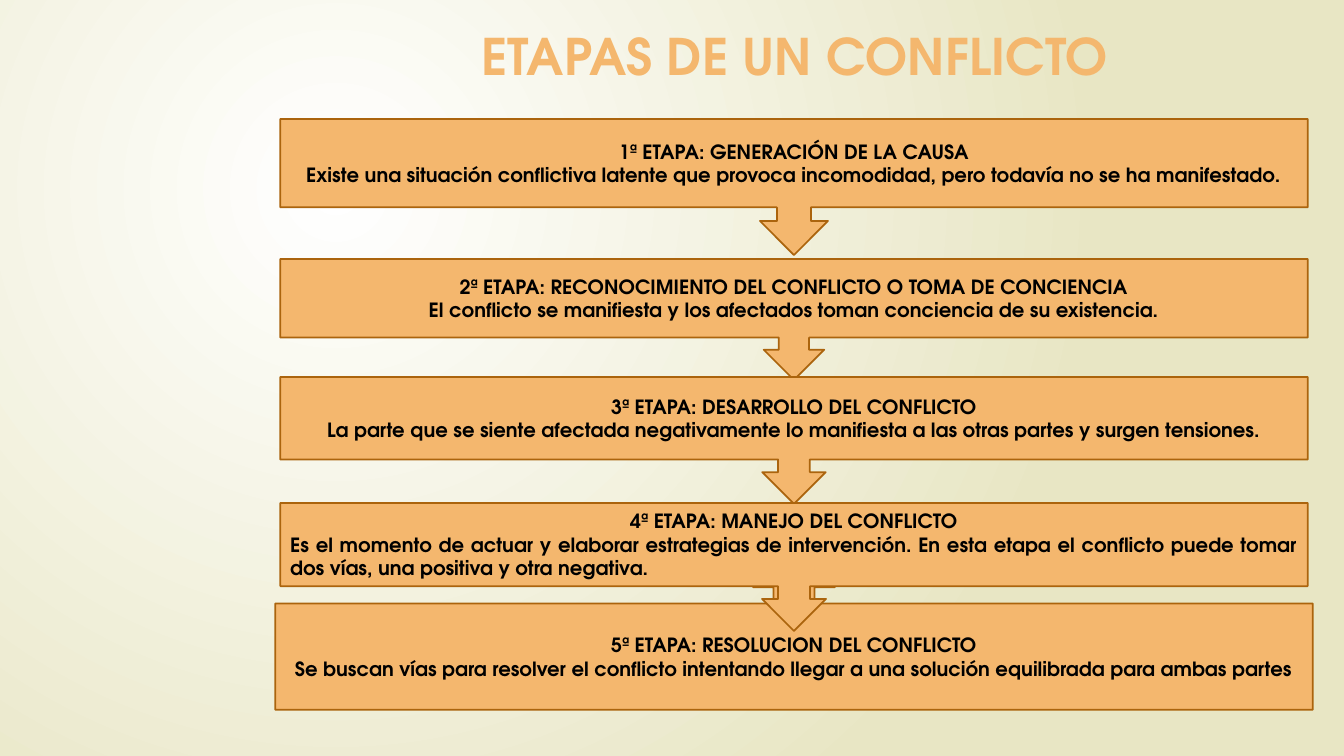
from lxml import etree
from pptx import Presentation
from pptx.dml.color import RGBColor
from pptx.enum.shapes import MSO_SHAPE
from pptx.enum.text import MSO_ANCHOR, MSO_AUTO_SIZE, PP_ALIGN
from pptx.oxml.ns import qn
from pptx.util import Inches, Pt

DOWN = MSO_SHAPE.DOWN_ARROW_CALLOUT
UP = MSO_SHAPE.UP_ARROW_CALLOUT
CENTER = PP_ALIGN.CENTER
JUSTIFY = PP_ALIGN.JUSTIFY
MIDDLE = MSO_ANCHOR.MIDDLE
GROW = MSO_AUTO_SIZE.SHAPE_TO_FIT_TEXT

# Stages from back to front: shape, left, top, width, height, heading, description, alignment
STAGES = [
    (DOWN, 2.78, 1.18, 10.19, 1.35, "1ª ETAPA: GENERACIÓN DE LA CAUSA",
     "Existe una situación conflictiva latente que provoca incomodidad, "
     "pero todavía no se ha manifestado.", CENTER),
    (DOWN, 2.78, 2.57, 10.19, 1.2,
     "2ª ETAPA: RECONOCIMIENTO DEL CONFLICTO O TOMA DE CONCIENCIA",
     "El conflicto se manifiesta y los afectados toman conciencia de su existencia.", CENTER),
    (DOWN, 2.78, 3.74, 10.19, 1.26, "3ª ETAPA: DESARROLLO DEL CONFLICTO",
     "La parte que se siente afectada negativamente lo manifiesta a las otras partes "
     "y surgen tensiones.", CENTER),
    (UP, 2.73, 5.42, 10.29, 1.62, "5ª ETAPA: RESOLUCION DEL CONFLICTO",
     "Se buscan vías para resolver el conflicto intentando llegar a una solución "
     "equilibrada para ambas partes", CENTER),
    (DOWN, 2.78, 4.99, 10.19, 1.27, "4ª ETAPA: MANEJO DEL CONFLICTO",
     "Es el momento de actuar y elaborar estrategias de intervención. En esta etapa "
     "el conflicto puede tomar dos vías, una positiva y otra negativa.", JUSTIFY),
]


def color(hex_string):
    return RGBColor.from_string(hex_string)


def write_text(paragraph, text, *, font, size, ink, bold=True, align=CENTER):
    paragraph.alignment = align
    run = paragraph.add_run()
    run.text = text
    run.font.name = font
    run.font.size = Pt(size)
    run.font.bold = bold
    run.font.color.rgb = color(ink)


class StageSlide:
    font = "TeX Gyre Adventor"
    orange = "F4B76E"
    outline = "AB640D"
    black = "000000"

    def __init__(self, slide):
        self.slide = slide

    def background(self, inner, outer):
        fill = self.slide.background.fill
        fill.gradient()
        for stop, position, hex_string in zip(fill.gradient_stops, (0, 1), (inner, outer)):
            stop.position = position
            stop.color.rgb = color(hex_string)
        # Replace the linear direction with a circular one
        gradient = next(self.slide.element.iter(qn("a:gradFill")))
        linear = gradient.find(qn("a:lin"))
        circle = etree.Element(qn("a:path"), path="circle")
        etree.SubElement(circle, qn("a:fillToRect"),
                         l="50000", t="50000", r="100000", b="100000")
        gradient.replace(linear, circle)

    def title(self, text, left, top, width, height):
        shape = self.slide.shapes.add_textbox(
            Inches(left), Inches(top), Inches(width), Inches(height))
        frame = shape.text_frame
        frame.word_wrap = True
        frame.auto_size = GROW
        write_text(frame.paragraphs[0], text, font=self.font, size=36, ink=self.orange)

    def callout(self, kind, left, top, width, height, heading, description, align):
        shape = self.slide.shapes.add_shape(
            kind, Inches(left), Inches(top), Inches(width), Inches(height))
        shape.shadow.inherit = False
        shape.fill.solid()
        shape.fill.fore_color.rgb = color(self.orange)
        shape.line.color.rgb = color(self.outline)
        shape.line.width = Pt(1.25)
        frame = shape.text_frame
        frame.word_wrap = True
        frame.vertical_anchor = MIDDLE
        style = {"font": self.font, "size": 14, "ink": self.black}
        write_text(frame.paragraphs[0], heading, **style)
        write_text(frame.add_paragraph(), description, align=align, **style)


def main():
    presentation = Presentation()
    presentation.slide_width = Inches(13.33)
    presentation.slide_height = Inches(7.5)
    stage_slide = StageSlide(presentation.slides.add_slide(presentation.slide_layouts[6]))

    # Background
    stage_slide.background("FFFFFF", "E8E6C4")

    # Stages of the conflict
    for stage in STAGES:
        stage_slide.callout(*stage)

    # Title
    stage_slide.title("ETAPAS DE UN CONFLICTO", 2.87, 0.2, 10.02, 0.71)

    presentation.save("out.pptx")


if __name__ == "__main__":
    main()
